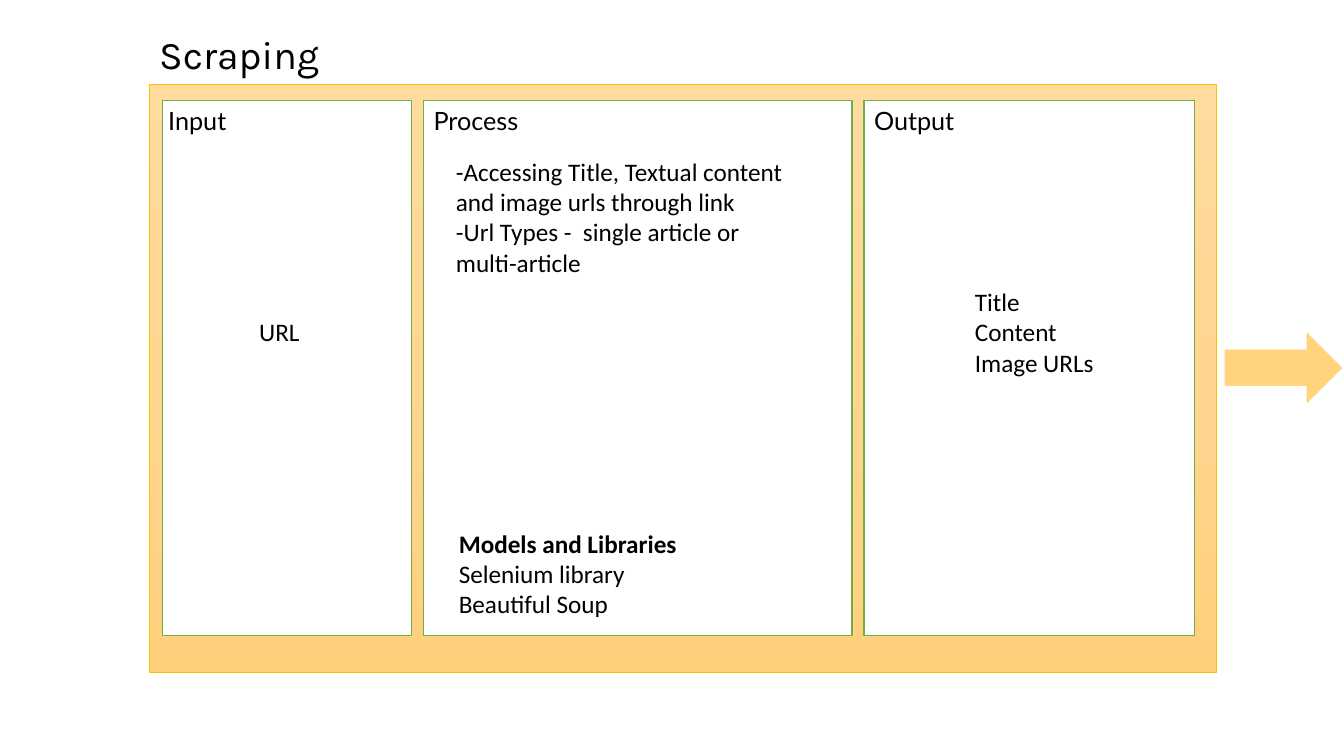
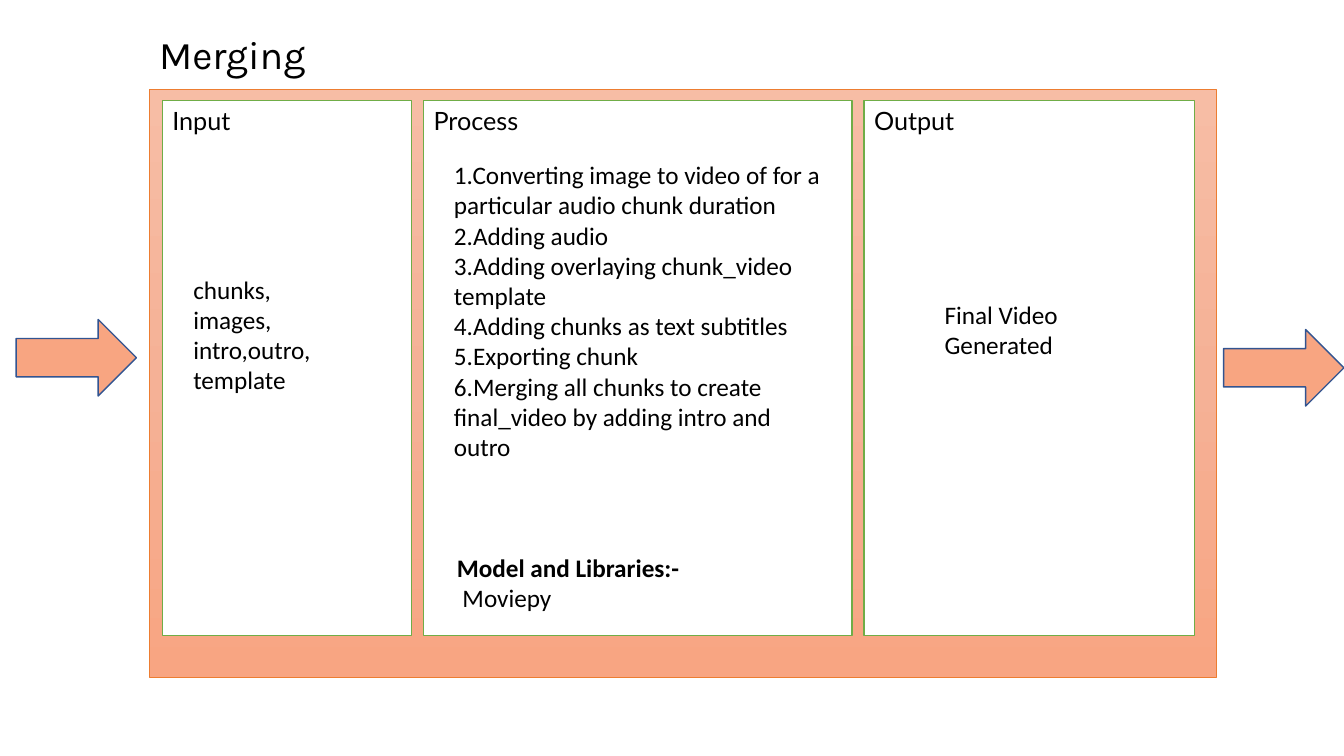
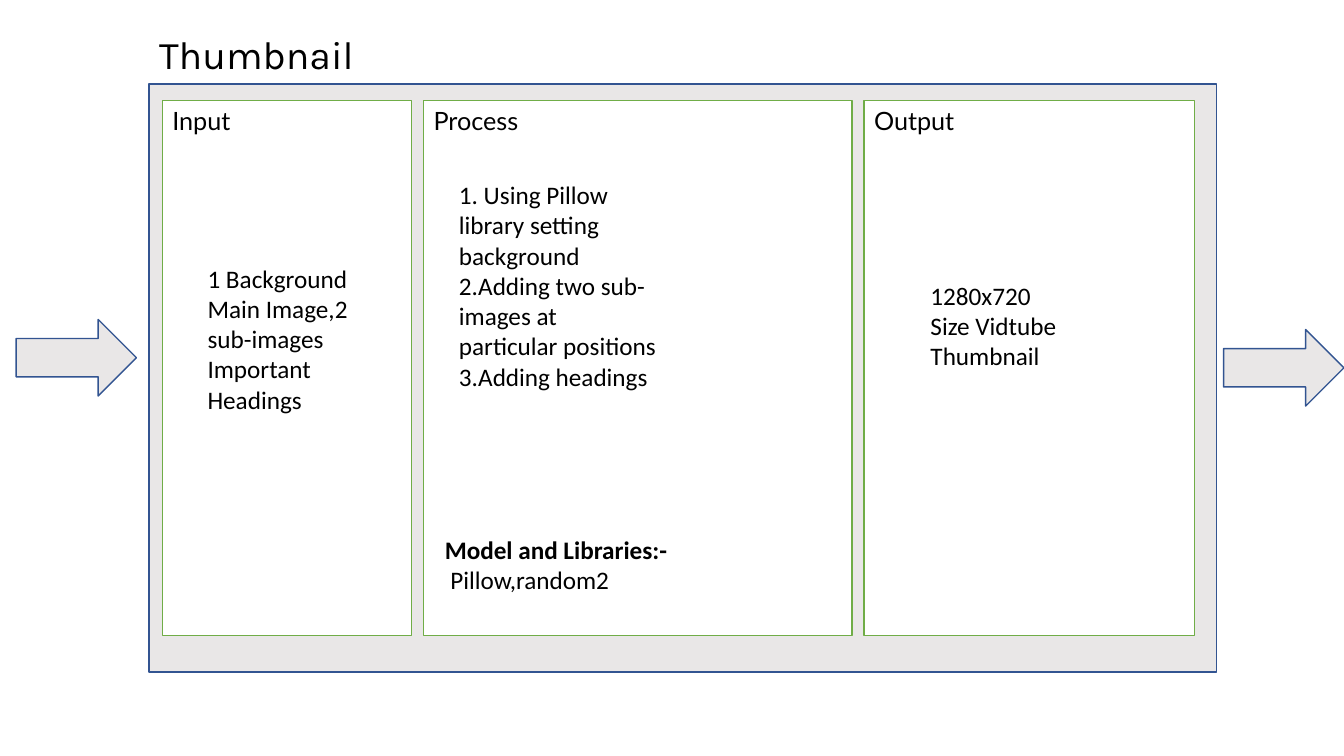
from copy import deepcopy
from pptx import Presentation
from pptx.dml.color import RGBColor
from pptx.enum import shapes, text
from pptx.oxml import ns
from pptx.util import Pt

COLORS = {
    "ink": "000000", "paper": "FFFFFF", "panel_line": "70AD47", "blue": "325491",
    "gold": "FFD47B", "gold_line": "FFC000",
    "coral": "F8A581", "coral_line": "ED7D31", "gray": "E9E7E7",
}
GRADIENTS = {
    "gold": ["FFDB9E", "FFD590", "FFD07C"],
    "coral": ["F7BDA5", "F5B196", "F8A582"],
}
FRAME_LEFT, FRAME_W, FRAME_H = 106.5, 762.5, 420
PANEL_LEFT, PANEL_TOP, PANEL_H, PANEL_GAP = 116, 72, 382, 8.64
PANELS = {"Input": 178, "Process": 306, "Output": 236}
ARROW_W, ARROW_H = 86, 54.7
ARROWS = {"in": (11.5, 228.2), "out": (874, 235.4)}


def rgb(name):
    return RGBColor.from_string(COLORS.get(name, name))


def place(sp, left, top, width, height):
    sp.left, sp.top, sp.width, sp.height = Pt(left), Pt(top), Pt(width), Pt(height)


def write(sp, lines, font="Calibri", size=18, bold_first=False):
    tf = sp.text_frame
    tf.word_wrap = True
    tf.auto_size = text.MSO_AUTO_SIZE.NONE
    tf.vertical_anchor = text.MSO_ANCHOR.TOP
    tf.margin_left = tf.margin_right = Pt(7.2)
    tf.margin_top = tf.margin_bottom = Pt(3.6)
    for i, line in enumerate(lines):
        p = tf.paragraphs[0] if i == 0 else tf.add_paragraph()
        p.alignment = text.PP_ALIGN.LEFT
        p.space_before = p.space_after = Pt(0)
        r = p.add_run()
        r.text = line
        r.font.name, r.font.size = font, Pt(size)
        r.font.bold = bold_first and i == 0
        r.font.color.rgb = rgb("ink")


def add_text(s, box, lines, **style):
    sp = s.shapes.add_textbox(*map(Pt, box))
    write(sp, lines, **style)


def add_title(s, title):
    sp = s.shapes.title
    place(sp, FRAME_LEFT, 18, 572, 41)
    write(sp, [title], font="Karla", size=28)


def add_steps(s, box, lines):
    sp = s.placeholders[1]
    place(sp, *box)
    write(sp, lines)
    for p in sp.text_frame.paragraphs:
        pPr = p._p.get_or_add_pPr()
        pPr.set("marL", "0")
        pPr.set("indent", "0")
        pPr.append(pPr.makeelement(ns.qn("a:buNone"), {}))
    sp.element.getparent().append(sp.element)


def add_block(s, kind, box, fill, line, line_width):
    sp = s.shapes.add_shape(kind, *map(Pt, box))
    sp.shadow.inherit = False
    sp.fill.solid()
    sp.fill.fore_color.rgb = rgb(fill)
    sp.line.color.rgb = rgb(line)
    sp.line.width = Pt(line_width)
    return sp


def shade(sp, stops):
    sp.fill.gradient()
    sp.fill.gradient_angle = 270
    stop_list = sp.element.find(".//" + ns.qn("a:gsLst"))
    stop_list.append(deepcopy(stop_list[-1]))
    for i, (stop, color) in enumerate(zip(sp.fill.gradient_stops, stops)):
        stop.position = i / 2
        stop.color.rgb = rgb(color)


def add_frame(s, top, theme, line, line_width):
    box = FRAME_LEFT, top, FRAME_W, FRAME_H
    sp = add_block(s, shapes.MSO_SHAPE.RECTANGLE, box, theme, line, line_width)
    if theme in GRADIENTS:
        shade(sp, GRADIENTS[theme])


def add_panel(s, box, label, label_shift):
    left, top, width, height = box
    add_block(s, shapes.MSO_SHAPE.RECTANGLE, box, "paper", "panel_line", 1)
    add_text(s, (left + label_shift, top, 100, 29), [label], font="Lato")


def add_stage(prs, title, theme, frame_top, frame_line, arrow_line, arrows,
              contents, libraries, label_shift=0):
    s = prs.slides.add_slide(prs.slide_layouts[1])
    add_title(s, title)
    add_frame(s, frame_top, theme, *frame_line)
    left = PANEL_LEFT
    for label, width in PANELS.items():
        shift = label_shift if label == "Input" else 0
        add_panel(s, (left, PANEL_TOP, width, PANEL_H), label, shift)
        (dx, dy, w, h), lines = contents[label]
        box = left + dx, PANEL_TOP + dy, w, h
        if label == "Process":
            add_steps(s, box, lines)
            (dx, dy, w, h), lines = libraries
            box = left + dx, PANEL_TOP + dy, w, h
            add_text(s, box, lines, bold_first=True)
        else:
            add_text(s, box, lines)
        left += width + PANEL_GAP
    for side in arrows:
        add_block(s, shapes.MSO_SHAPE.RIGHT_ARROW,
                  (*ARROWS[side], ARROW_W, ARROW_H), theme, *arrow_line)


prs = Presentation()
prs.slide_width, prs.slide_height = Pt(960), Pt(540)

add_stage(
    prs, "Scraping", "gold", 60, ("gold_line", 0.5), ("paper", 1.5), ["out"],
    {
        "Input": ((62, 150.5, 95, 29), ["URL"]),
        "Process": ((15.8, 36, 255.6, 94), [
            "-Accessing Title, Textual content and image urls through link",
            "-Url Types -  single article or multi-article",
        ]),
        "Output": ((72, 129, 127, 73), ["Title", "Content", "Image URLs"]),
    },
    ((18, 301.7, 199, 73),
     ["Models and Libraries", "Selenium library", "Beautiful Soup"]),
    label_shift=-2.9,
)
add_stage(
    prs, "Merging", "coral", 63.5, ("coral_line", 0.5), ("blue", 1), ["out", "in"],
    {
        "Input": ((15, 120.2, 155.5, 94),
                  ["chunks,", "images,", "intro,outro,", "template"]),
        "Process": ((14.4, 38.2, 277.2, 225), [
            "1.Converting image to video of for a particular audio chunk duration",
            "2.Adding audio",
            "3.Adding overlaying chunk_video template",
            "4.Adding chunks as text subtitles",
            "5.Exporting chunk",
            "6.Merging all chunks to create final_video by adding intro and outro",
        ]),
        "Output": ((50.4, 138.2, 155.5, 51), ["Final Video Generated"]),
    },
    ((16.6, 319, 255, 51), ["Model and Libraries:-", " Moviepy"]),
)
add_stage(
    prs, "Thumbnail", "gray", 60, ("blue", 1), ("blue", 1), ["out", "in"],
    {
        "Input": ((25.2, 112.3, 126.7, 117),
                  ["1 Background Main Image,2 sub-images", "Important Headings"]),
        "Process": ((18, 52.6, 155.5, 160), [
            "1. Using Pillow library setting background",
            "2.Adding two sub-images at particular positions",
            "3.Adding headings",
        ]),
        "Output": ((40.3, 124.6, 155.5, 73), ["1280x720", "Size Vidtube Thumbnail"]),
    },
    ((8, 306, 196.6, 51), ["Model and Libraries:-", " Pillow,random2"]),
)
prs.save("out.pptx")
